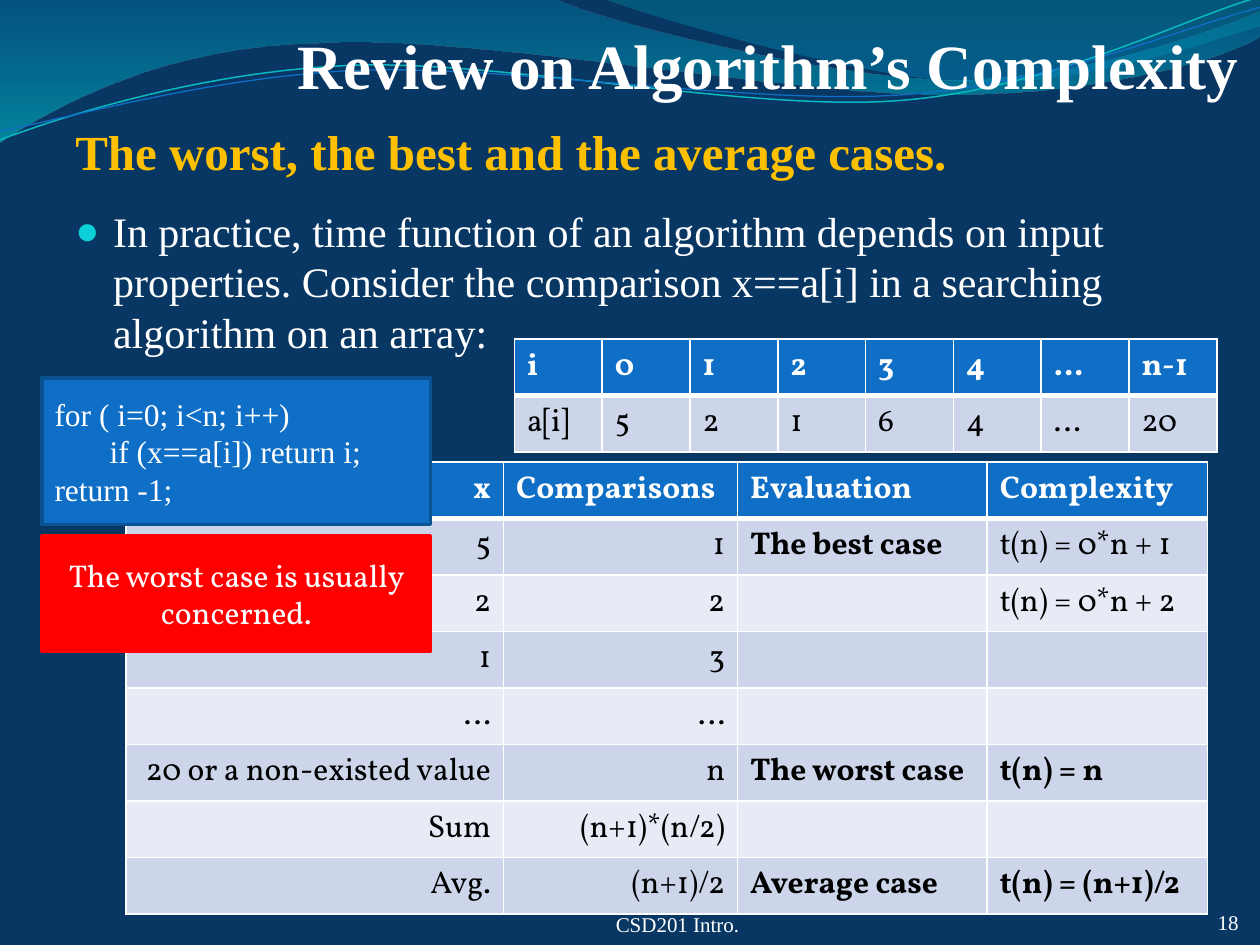
from lxml import etree
from pptx import Presentation
from pptx import util as u
from pptx.dml.color import RGBColor
from pptx.enum import shapes, text
from pptx.oxml.ns import qn

NAVY = RGBColor(0x08, 0x37, 0x63)
BLUE = RGBColor(0x0F, 0x6F, 0xC6)
DARK_BLUE = RGBColor(0x0B, 0x52, 0x92)
DEEP_TEAL = RGBColor(0x00, 0x74, 0xA1)
SEA = RGBColor(0x00, 0xC6, 0xCF)
TEAL = RGBColor(0x00, 0xA1, 0xA9)
AZURE = RGBColor(0x00, 0x8B, 0xBF)
AQUA = RGBColor(0x0A, 0xB8, 0xBF)
CYAN = RGBColor(0x0B, 0xD0, 0xD9)
GOLD = RGBColor(0xFF, 0xC0, 0x00)
RED = RGBColor(0xFF, 0x00, 0x00)
WHITE = RGBColor(0xFF, 0xFF, 0xFF)
BLACK = RGBColor(0x00, 0x00, 0x00)
BANDS = RGBColor(0xCC, 0xD5, 0xEA), RGBColor(0xE7, 0xEB, 0xF5)
SERIF, BODY = "Times New Roman", "Vollkorn"
LEFT, CENTER, RIGHT = text.PP_ALIGN.LEFT, text.PP_ALIGN.CENTER, text.PP_ALIGN.RIGHT
TOP, MIDDLE, BOTTOM = text.MSO_ANCHOR.TOP, text.MSO_ANCHOR.MIDDLE, text.MSO_ANCHOR.BOTTOM

ARRAY = [["i", "0", "1", "2", "3", "4", "…", "n-1"],
         ["a[i]", "5", "2", "1", "6", "4", "…", "20"]]
CASES = [["x", "Comparisons", "Evaluation", "Complexity"],
         ["5", "1", "The best case", "t(n) = 0*n + 1"],
         ["2", "2", "", "t(n) = 0*n + 2"],
         ["1", "3", "", ""],
         ["…", "…", "", ""],
         ["20 or a non-existed value", "n", "The worst case", "t(n) = n"],
         ["Sum", "(n+1)*(n/2)", "", ""],
         ["Avg.", "(n+1)/2", "Average case", "t(n) = (n+1)/2"]]


def format_text(frame, size, font=SERIF, color=WHITE, bold=False, align=LEFT):
    for para in frame.paragraphs:
        para.alignment = align
        for span in para.runs:
            span.font.size, span.font.name = u.Pt(size), font
            span.font.bold, span.font.color.rgb = bold, color


def add_text(page, box, words, size, anchor=TOP, inset=True, **style):
    frame = page.shapes.add_textbox(*map(u.Cm, box)).text_frame
    frame.word_wrap, frame.vertical_anchor = True, anchor
    if not inset:
        frame.margin_left = frame.margin_right = 0
        frame.margin_top = frame.margin_bottom = 0
    frame.text = words
    format_text(frame, size, **style)
    return frame


def add_outline(page, start, pieces, closed):
    """Outline whose pieces hold 2 numbers for a line, 6 for a Bézier curve."""
    builder = page.shapes.build_freeform(*map(u.Cm, start))
    builder.add_line_segments([(u.Cm(x), u.Cm(y)) for piece in pieces
                               for x, y in zip(piece[::2], piece[1::2])], close=closed)
    shape = builder.convert_to_shape()
    shape.shadow.inherit = False
    segments = iter(shape.element.spPr.findall(".//" + qn("a:lnTo")))
    for piece in pieces:
        first = next(segments)
        if len(piece) == 6:
            curve = etree.Element(qn("a:cubicBezTo"))
            first.addprevious(curve)
            for segment in (first, next(segments), next(segments)):
                curve.append(segment[0])
                segment.getparent().remove(segment)
    return shape


def add_wave(page, start, pieces, stops):
    """Closed wave with a downward gradient; stops are (position, colour, opacity %)."""
    shape = add_outline(page, start, pieces, True)
    shape.line.fill.background()
    shape.fill.gradient()
    shape.fill.gradient_angle = 270
    for stop, (position, color, opacity) in zip(shape.fill.gradient_stops, stops):
        stop.position, stop.color.rgb = position, color
    colors = shape.element.spPr.findall(".//" + qn("a:srgbClr"))
    for node, (_, _, opacity) in zip(colors, stops):
        etree.SubElement(node, qn("a:alpha"), val=str(opacity * 1000))


def add_strand(page, start, pieces, color, width):
    shape = add_outline(page, start, pieces, False)
    shape.fill.background()
    shape.line.color.rgb, shape.line.width = color, u.Pt(width)


def add_backdrop(page):
    page.background.fill.solid()
    page.background.fill.fore_color.rgb = NAVY
    add_wave(page, (0, 0), [
        (11.18, -0.03), (12.09, 0.43, 16.87, 1.6, 19.25, 1.6),
        (21.67, 1.6, 24.33, 0.66, 25.4, 0.23), (25.43, 0.69),
        (24.97, 1.12, 22.1, 1.93, 18.95, 1.9), (15.8, 1.9, 9.7, 0.71, 6.53, 0.86),
        (3.28, 0.91, 1.17, 2.11, -0.03, 2.87)], [(0, DEEP_TEAL, 45), (1, SEA, 55)])
    add_wave(page, (12.17, -0.03), [
        (12.93, 0.3, 17.32, 1.57, 19.53, 1.65),
        (21.74, 1.75, 24.41, 0.81, 25.4, 0.53), (25.4, 0)],
        [(0, TEAL, 30), (0.8, AZURE, 45)])
    add_strand(page, (0, 2.82), [
        (1.22, 2.36, 4.01, 1.45, 7.04, 1.32), (10.03, 1.19, 15.06, 2.26, 18.11, 2.03),
        (21.16, 1.8, 23.83, 0.38, 25.35, -0.05)], AQUA, 0.85)
    add_strand(page, (0, 2.64), [
        (1.19, 2.44, 4.17, 1.55, 7.19, 1.42), (10.24, 1.3, 15.16, 2.13, 18.21, 1.91),
        (21.23, 1.7, 23.9, 0.53, 25.4, 0.15)], BLUE, 0.75)


def add_bullet(page, box, words):
    para = add_text(page, box, words, 24).paragraphs[0]
    para.space_before = u.Pt(4.8)
    props = para._p.get_or_add_pPr()
    props.set("marL", str(u.Cm(0.76)))
    props.set("indent", str(u.Cm(-0.76)))
    color = etree.SubElement(props, qn("a:buClr"))
    etree.SubElement(color, qn("a:srgbClr"), val=str(CYAN))
    etree.SubElement(props, qn("a:buSzPct"), val="95000")
    etree.SubElement(props, qn("a:buFont"), typeface=SERIF)
    etree.SubElement(props, qn("a:buChar"), char="●")


def set_borders(cell, top, bottom):
    props = cell._tc.get_or_add_tcPr()
    for place, (side, width) in enumerate(
            [("lnL", 1), ("lnR", 1), ("lnT", top), ("lnB", bottom)]):
        line = etree.Element(qn("a:" + side), w=str(u.Pt(width)))
        fill = etree.SubElement(line, qn("a:solidFill"))
        etree.SubElement(fill, qn("a:srgbClr"), val=str(WHITE))
        props.insert(place, line)


def add_grid(page, left, top, widths, rows, is_right, is_bold):
    """White-ruled table; is_right and is_bold decide by row and column."""
    height = 1.14
    table = page.shapes.add_table(len(rows), len(widths), u.Cm(left), u.Cm(top),
                                  u.Cm(sum(widths)), u.Cm(height * len(rows))).table
    for column, width in zip(table.columns, widths):
        column.width = u.Cm(width)
    for r, row in enumerate(rows):
        table.rows[r].height = u.Cm(height)
        for c, words in enumerate(row):
            cell = table.cell(r, c)
            cell.text = words
            format_text(cell.text_frame, 18, BODY, BLACK if r else WHITE,
                        r == 0 or is_bold(r, c), RIGHT if is_right(r, c) else LEFT)
            cell.fill.solid()
            cell.fill.fore_color.rgb = BANDS[(r - 1) % 2] if r else BLUE
            set_borders(cell, 3 if r == 1 else 1, 1 if r else 3)


def add_panel(page, box, words, fill, line, **style):
    panel = page.shapes.add_shape(shapes.MSO_SHAPE.RECTANGLE, *map(u.Cm, box))
    panel.shadow.inherit = False
    panel.fill.solid()
    panel.fill.fore_color.rgb = fill
    panel.line.color.rgb, panel.line.width = line, u.Pt(2)
    frame = panel.text_frame
    frame.word_wrap, frame.vertical_anchor = True, MIDDLE
    frame.text = words
    format_text(frame, 18, **style)
    return frame


def main():
    deck = Presentation()
    deck.slide_width, deck.slide_height = u.Cm(25.4), u.Cm(19.05)
    page = deck.slides.add_slide(deck.slide_layouts[6])
    add_backdrop(page)
    title = add_text(page, (1.27, 0.2, 23.7, 1.85), "Review on Algorithm’s Complexity", 36,
                     BOTTOM, False, bold=True, align=RIGHT)
    title.margin_top = u.Cm(0.13)
    add_text(page, (7.41, 18.2, 12.5, 0.69), "CSD201 Intro.", 12, BOTTOM, False, align=CENTER)
    add_text(page, (23.5, 18.2, 1.47, 0.64), "18", 12, BOTTOM, False, align=RIGHT)
    add_text(page, (1.27, 2.33, 21.4, 1.45), "The worst, the best and the average cases.", 28,
             color=GOLD, bold=True)
    add_bullet(page, (1.27, 4.02, 22.86, 5.93),
               "In practice, time function of an algorithm depends on input properties. "
               "Consider the comparison x==a[i] in a searching algorithm on an array:")
    add_grid(page, 10.37, 6.83, [1.77] * 8, ARRAY,
             lambda r, c: False, lambda r, c: False)
    add_grid(page, 2.54, 9.31, [7.61, 4.72, 5.03, 4.44], CASES,
             lambda r, c: c == 0 or (c == 1 and r > 0),
             lambda r, c: c == 2 or (c == 3 and r > 4))
    code = add_panel(page, (0.85, 7.62, 7.83, 2.96),
                     "for ( i=0; i<n; i++)\nif (x==a[i]) return i;\nreturn -1;", BLUE, DARK_BLUE)
    code.paragraphs[1]._p.get_or_add_pPr().set("marL", str(u.Cm(1.11)))
    add_panel(page, (0.85, 10.8, 7.83, 2.33), "The worst case is usually concerned.",
              RED, RED, font=BODY, align=CENTER)
    deck.save("out.pptx")


if __name__ == "__main__":
    main()
